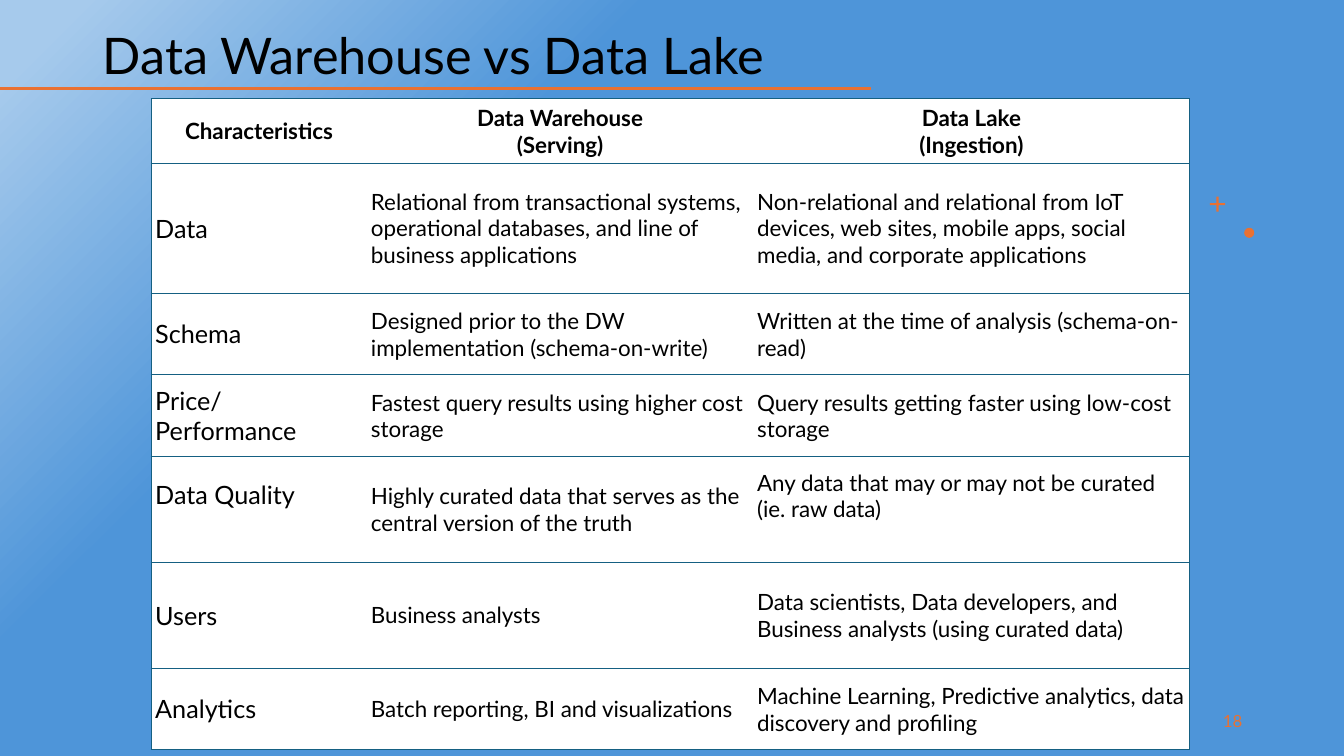
from lxml import etree
from pptx import Presentation
from pptx.dml.color import RGBColor
from pptx.enum import shapes, text
from pptx.oxml import ns
from pptx.util import Inches, Pt

COLORS = {
    "black": "000000",
    "white": "FFFFFF",
    "accent": "E97132",
    "border": "156082",
    "sky_light": "A6CAEC",
    "sky": "4E95D9",
}
FONT = "Lato"
COLUMN_WIDTHS = [2.14, 3.83, 4.33]
ROW_HEIGHTS = [0.64, 1.29, 0.81, 0.81, 1.05, 1.05, 0.81]
ROWS = [
    ["Characteristics", "Data Warehouse\n(Serving)", "Data Lake\n(Ingestion)"],
    ["Data",
     "Relational from transactional systems, operational databases, and line of business applications",
     "Non-relational and relational from IoT devices, web sites, mobile apps, social media, "
     "and corporate applications"],
    ["Schema", "Designed prior to the DW implementation (schema-on-write)",
     "Written at the time of analysis (schema-on-read)"],
    ["Price/Performance", "Fastest query results using higher cost storage",
     "Query results getting faster using low-cost storage"],
    ["Data Quality", "Highly curated data that serves as the central version of the truth",
     "Any data that may or may not be curated (ie. raw data)"],
    ["Users", "Business analysts",
     "Data scientists, Data developers, and Business analysts (using curated data)"],
    ["Analytics", "Batch reporting, BI and visualizations",
     "Machine Learning, Predictive analytics, data discovery and profiling"],
]
# Extra bottom margin that lifts the text of single cells, by (row, column)
LIFTED_CELLS = {(4, 0): 0.3, (4, 2): 0.27}


def color(name):
    return RGBColor.from_string(COLORS[name])


def set_values(target, values):
    for name, value in values.items():
        setattr(target, name, value)


def write_text(frame, content, size, color_name="black", bold=False, **paragraph_format):
    frame.text = content
    for paragraph in frame.paragraphs:
        set_values(paragraph, paragraph_format)
        set_values(paragraph.font, {"name": FONT, "size": Pt(size), "bold": bold})
        paragraph.font.color.rgb = color(color_name)


def add_text(slide, box, anchor, content, size, **text_format):
    frame = slide.shapes.add_textbox(*map(Inches, box)).text_frame
    set_values(frame, {"word_wrap": True, "vertical_anchor": anchor})
    write_text(frame, content, size, **text_format)


def paint_background(slide):
    fill = slide.background.fill
    fill.gradient()
    fill.gradient_angle = 315
    for stop, (position, name) in zip(fill.gradient_stops, [(0.04, "sky_light"), (0.31, "sky")]):
        stop.position = position
        stop.color.rgb = color(name)


def add_heading(slide, box):
    left, top, width, height = box
    # Rule under the title, from the slide edge
    rule_y = Inches(top + height - 0.02)
    rule = slide.shapes.add_connector(
        shapes.MSO_CONNECTOR.STRAIGHT, 0, rule_y, Inches(8.64), rule_y)
    rule.line.color.rgb = color("accent")
    rule.line.width = Pt(2)
    etree.SubElement(rule._element.spPr, ns.qn("a:effectLst"))
    # Title
    add_text(slide, box, text.MSO_ANCHOR.BOTTOM, "Data Warehouse vs Data Lake", 36, line_spacing=0.9)


def add_ornaments(slide, left, top):
    ornaments = [
        (shapes.MSO_SHAPE.CROSS, 0, 0, 0.15),
        (shapes.MSO_SHAPE.OVAL, 0.34, 0.31, 0.1),
    ]
    for kind, dx, dy, size in ornaments:
        ornament = slide.shapes.add_shape(
            kind, Inches(left + dx), Inches(top + dy), Inches(size), Inches(size))
        ornament.shadow.inherit = False
        ornament.fill.solid()
        ornament.fill.fore_color.rgb = color("accent")
        ornament.line.fill.background()
        if kind == shapes.MSO_SHAPE.CROSS:
            ornament.adjustments[0] = 0.43


def set_borders(cell, visible_sides):
    properties = cell._tc.get_or_add_tcPr()
    for side in "LRTB":
        border = etree.SubElement(properties, ns.qn(f"a:ln{side}"), w=str(Pt(1)))
        if side in visible_sides:
            fill = etree.SubElement(border, ns.qn("a:solidFill"))
            etree.SubElement(fill, ns.qn("a:srgbClr"), val=COLORS["border"])
        else:
            etree.SubElement(border, ns.qn("a:noFill"))


def add_comparison(slide, left, top):
    box = left, top, sum(COLUMN_WIDTHS), sum(ROW_HEIGHTS)
    table = slide.shapes.add_table(
        len(ROWS), len(COLUMN_WIDTHS), *map(Inches, box)).table
    set_values(table, {"first_row": False, "horz_banding": False})
    for column, width in zip(table.columns, COLUMN_WIDTHS):
        column.width = Inches(width)
    for row, height in zip(table.rows, ROW_HEIGHTS):
        row.height = Inches(height)

    outer_sides = {0: "L", len(COLUMN_WIDTHS) - 1: "R"}
    for r, contents in enumerate(ROWS):
        header = r == 0
        margin = 0.05 if header else 0.04
        for c, content in enumerate(contents):
            cell = table.cell(r, c)
            set_borders(cell, "TB" + outer_sides.get(c, ""))
            cell.fill.solid()
            cell.fill.fore_color.rgb = color("white")
            set_values(cell, {
                "vertical_anchor": text.MSO_ANCHOR.MIDDLE,
                "margin_left": Inches(0.04),
                "margin_right": Inches(0.04),
                "margin_top": Inches(margin),
                "margin_bottom": Inches(margin + LIFTED_CELLS.get((r, c), 0)),
            })
            write_text(
                cell.text_frame, content, 18 if c == 0 and not header else 16, bold=header,
                alignment=text.PP_ALIGN.CENTER if header else text.PP_ALIGN.LEFT)


def add_page_number(slide, box):
    add_text(slide, box, text.MSO_ANCHOR.MIDDLE, "18", 12,
             color_name="accent", alignment=text.PP_ALIGN.RIGHT)


def main():
    presentation = Presentation()
    set_values(presentation, {"slide_width": Inches(13.33), "slide_height": Inches(7.5)})
    slide = presentation.slides.add_slide(presentation.slide_layouts[6])
    paint_background(slide)
    add_heading(slide, (0.92, 0.49, 9.73, 0.41))
    add_ornaments(slide, 12, 1.95)
    add_page_number(slide, (9.42, 6.95, 3, 0.4))
    add_comparison(slide, 1.5, 0.98)
    presentation.save("out.pptx")


if __name__ == "__main__":
    main()
